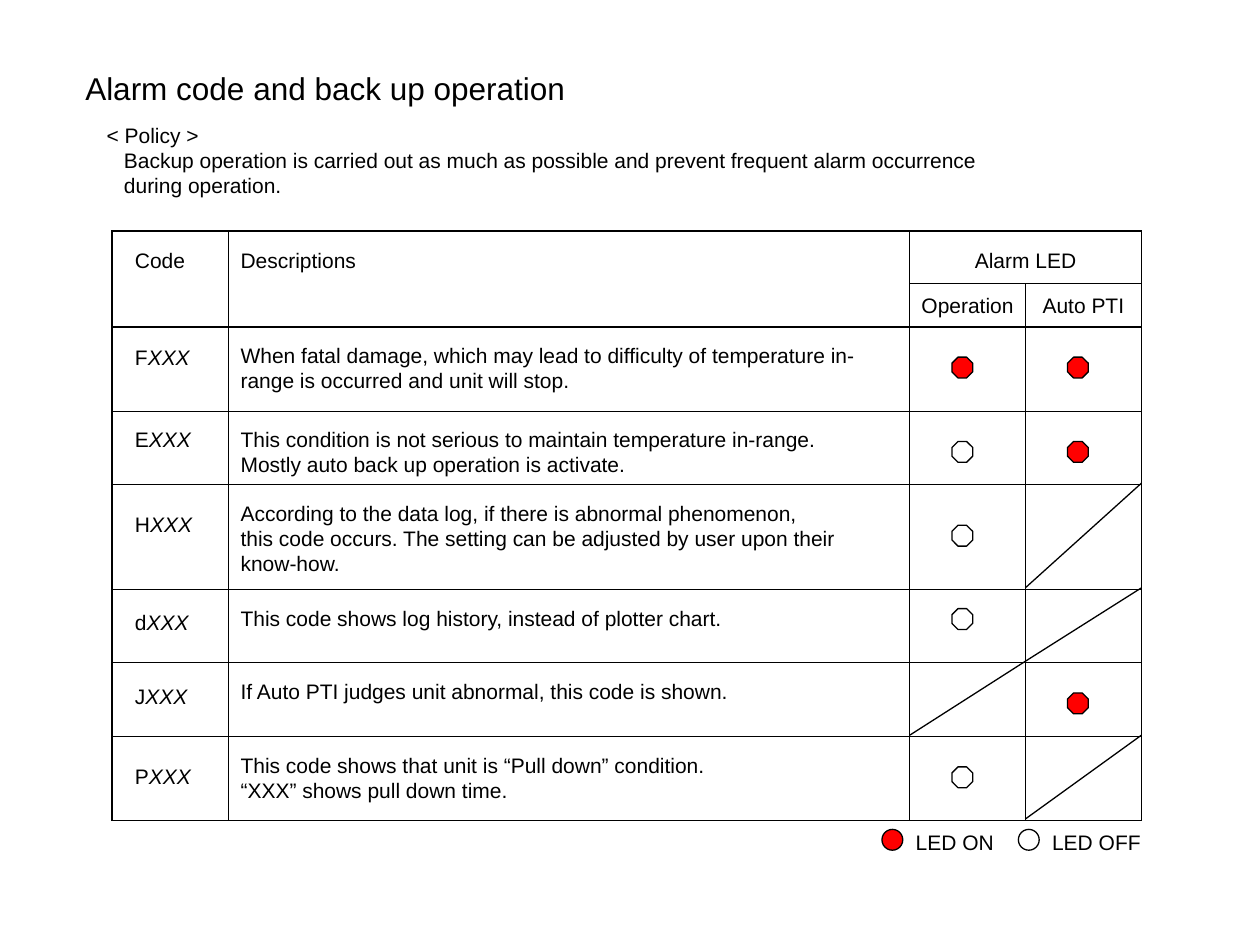
from itertools import pairwise

from lxml import etree
from pptx import Presentation
from pptx import util as u
from pptx.dml.color import RGBColor
from pptx.enum import shapes, text
from pptx.oxml.ns import qn

COLORS = {"ink": "000000", "on": "FF0000"}
FONT = "Arial"
Cm = u.Cm

# Grid edges, LED size and text margins, in cm
COLS = [2.26, 4.6, 18.34, 20.67, 23.01]
ROWS = [4.66, 5.72, 6.56, 8.26, 9.74, 11.85, 13.33, 14.82, 16.51]
LED = 0.42
TOP, CODE_LEFT, TEXT_LEFT = 0.33, 0.46, 0.25
HEADER_ROWS = 2

# Letter, code margin, description, LED offset, operation LED, auto PTI LED
ALARMS = [
    ("F", 0.36, "When fatal damage, which may lead to difficulty of temperature in-\v"
     "range is occurred and unit will stop.", 0.64, "on", "on"),
    ("E", 0.33, "This condition is not serious to maintain temperature in-range.\v"
     "Mostly auto back up operation is activate.", 0.64, "off", "on"),
    ("H", 0.55, "According to the data log, if there is abnormal phenomenon,\v"
     "this code occurs. The setting can be adjusted by user upon their\v"
     "know-how.", 0.85, "off", None),
    ("d", 0.42, "This code shows log history, instead of plotter chart.",
     0.42, "off", None),
    ("J", 0.43, "If Auto PTI judges unit abnormal, this code is shown.",
     0.64, None, "on"),
    ("P", 0.55, "This code shows that unit is “Pull down” condition.\v"
     "“XXX” shows pull down time.", 0.64, "off", None),
]


class Deck:
    def __init__(self):
        self.prs = Presentation()
        self.prs.slide_width, self.prs.slide_height = Cm(25.4), Cm(19.05)
        self.s = self.prs.slides.add_slide(self.prs.slide_layouts[6])

    def color(self, name):
        return RGBColor.from_string(COLORS[name])

    def style(self, p, size=12):
        for r in p.runs:
            r.font.name, r.font.size = FONT, u.Pt(size)
            r.font.color.rgb = self.color("ink")

    def label(self, x, y, w, h, lines, size=12):
        """Text box; paragraphs after the first are indented."""
        tf = self.s.shapes.add_textbox(Cm(x), Cm(y), Cm(w), Cm(h)).text_frame
        tf.word_wrap = True
        tf.text = "\n".join(lines)
        for i, p in enumerate(tf.paragraphs):
            if i:
                p._p.get_or_add_pPr().set("marL", str(Cm(0.35)))
            self.style(p, size)

    def line(self, x1, y1, x2, y2):
        c = self.s.shapes.add_connector(
            shapes.MSO_CONNECTOR.STRAIGHT, Cm(x1), Cm(y1), Cm(x2), Cm(y2))
        c.line.color.rgb, c.line.width = self.color("ink"), u.Pt(0.75)
        etree.SubElement(c._element.spPr, qn("a:effectLst"))

    def led(self, x, y, state, kind="OCTAGON"):
        sp = self.s.shapes.add_shape(
            getattr(shapes.MSO_SHAPE, kind), Cm(x), Cm(y), Cm(LED), Cm(LED))
        sp.shadow.inherit = False
        sp.line.color.rgb, sp.line.width = self.color("ink"), u.Pt(0.75)
        if state == "on":
            sp.fill.solid()
            sp.fill.fore_color.rgb = self.color("on")
        else:
            sp.fill.background()

    def grid(self, xs, ys):
        t = self.s.shapes.add_table(
            len(ys) - 1, len(xs) - 1, Cm(xs[0]), Cm(ys[0]),
            Cm(xs[-1] - xs[0]), Cm(ys[-1] - ys[0])).table
        t.first_row = t.horz_banding = False
        for col, (a, b) in zip(t.columns, pairwise(xs)):
            col.width = Cm(b - a)
        for row, (a, b) in zip(t.rows, pairwise(ys)):
            row.height = Cm(b - a)
        return t

    def border(self, cell, sides):
        """Draw the given sides, a dict of side letter to width in points."""
        tcPr = cell._tc.get_or_add_tcPr()
        for side, width in sides.items():
            ln = etree.SubElement(tcPr, qn("a:ln" + side), w=str(u.Pt(width)))
            fill = etree.SubElement(ln, qn("a:solidFill"))
            etree.SubElement(fill, qn("a:srgbClr"), val=COLORS["ink"])
        cell.fill.background()

    def cell(self, cell, words, left=0, top=0, center=False, middle=False):
        cell.margin_left, cell.margin_top = Cm(left), Cm(top)
        cell.margin_right = cell.margin_bottom = 0
        if middle:
            cell.vertical_anchor = text.MSO_ANCHOR.MIDDLE
        p = cell.text_frame.paragraphs[0]
        p.text = words
        p.line_spacing = 1.06
        if center:
            p.alignment = text.PP_ALIGN.CENTER
        self.style(p)
        return p


def main():
    d = Deck()

    # Title and policy
    d.label(1.47, 1.27, 15.88, 1.02, ["Alarm code and back up operation"], 18)
    d.label(1.9, 2.34, 20.96, 1.78, [
        "< Policy >",
        "Backup operation is carried out as much as possible and prevent "
        "frequent alarm occurrence\vduring operation."])

    # Table grid: heavier frame and header rule, none inside merged cells
    t = d.grid(COLS, ROWS)
    last_row, last_col = len(ROWS) - 2, len(COLS) - 2
    for row in range(last_row + 1):
        for col in range(last_col + 1):
            sides = {"L": 1 if col == 0 else 0.75,
                     "R": 1 if col == last_col else 0.75,
                     "T": 1 if row in (0, HEADER_ROWS) else 0.75,
                     "B": 1 if row in (HEADER_ROWS - 1, last_row) else 0.75}
            if row == 1 and col < 2:
                del sides["T"]
            if (row, col) == (0, 3):
                del sides["L"]
            d.border(t.cell(row, col), sides)
    t.cell(0, 0).merge(t.cell(1, 0))
    t.cell(0, 1).merge(t.cell(1, 1))
    t.cell(0, 2).merge(t.cell(0, 3))

    # Header
    d.cell(t.cell(0, 0), "Code", CODE_LEFT, TOP)
    d.cell(t.cell(0, 1), "Descriptions", TEXT_LEFT, TOP)
    d.cell(t.cell(0, 2), "Alarm LED", top=TOP, center=True)
    for col, words in ((2, "Operation"), (3, "Auto PTI")):
        d.cell(t.cell(1, col), words, center=True, middle=True)

    # Alarm rows, with a diagonal where no LED applies
    for row, alarm in enumerate(ALARMS, HEADER_ROWS):
        letter, code_top, words, offset, *states = alarm
        p = d.cell(t.cell(row, 0), letter, CODE_LEFT, code_top)
        p.add_run().text = "XXX"
        d.style(p)
        p.runs[1].font.italic = True
        d.cell(t.cell(row, 1), words, TEXT_LEFT, TOP)
        for col, state in enumerate(states, 2):
            d.cell(t.cell(row, col), "")
            if state:
                d.led(COLS[col] + 0.85, ROWS[row] + offset, state)
            else:
                d.line(COLS[col + 1], ROWS[row], COLS[col], ROWS[row + 1])

    # Legend
    for x, w, state in ((17.78, 2.11, "on"), (20.53, 2.96, "off")):
        d.led(x, 16.72, state, "OVAL")
        d.label(x + 0.43, 16.59, w, 0.76, ["LED " + state.upper()])

    d.prs.save("out.pptx")


if __name__ == "__main__":
    main()
